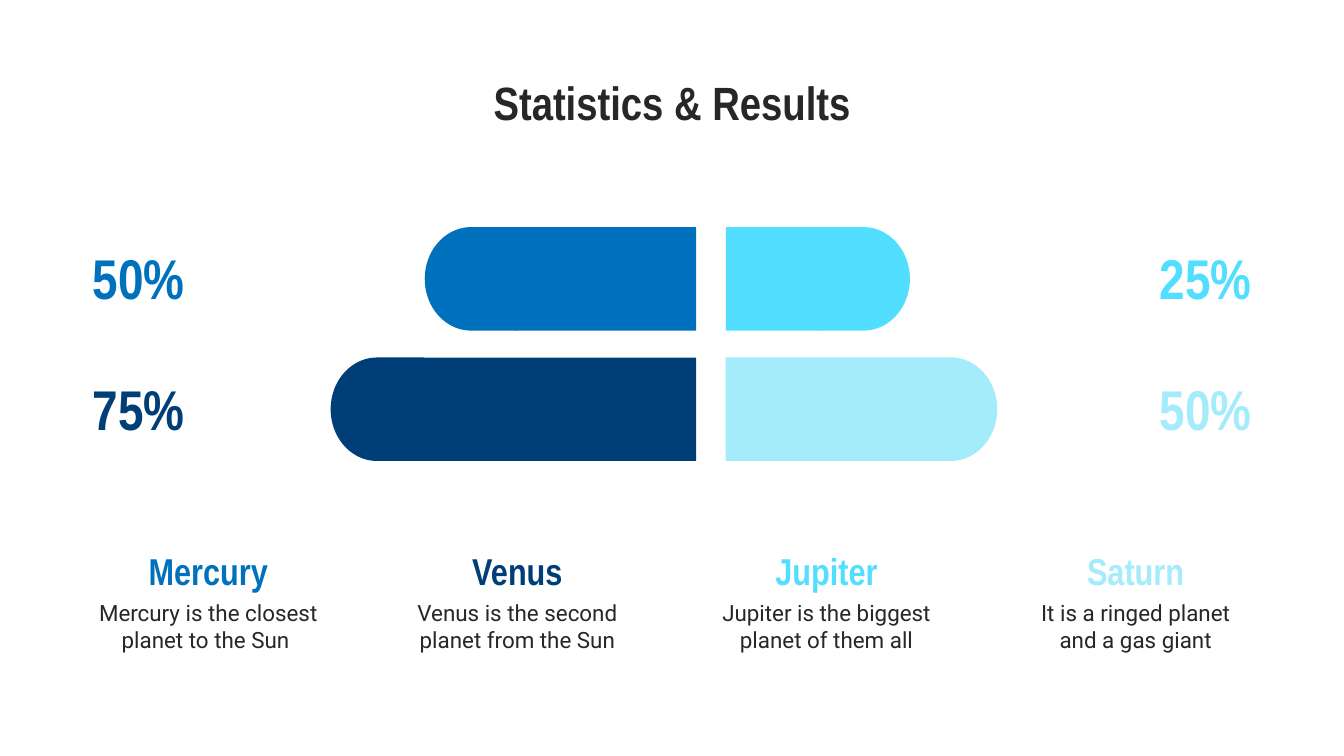
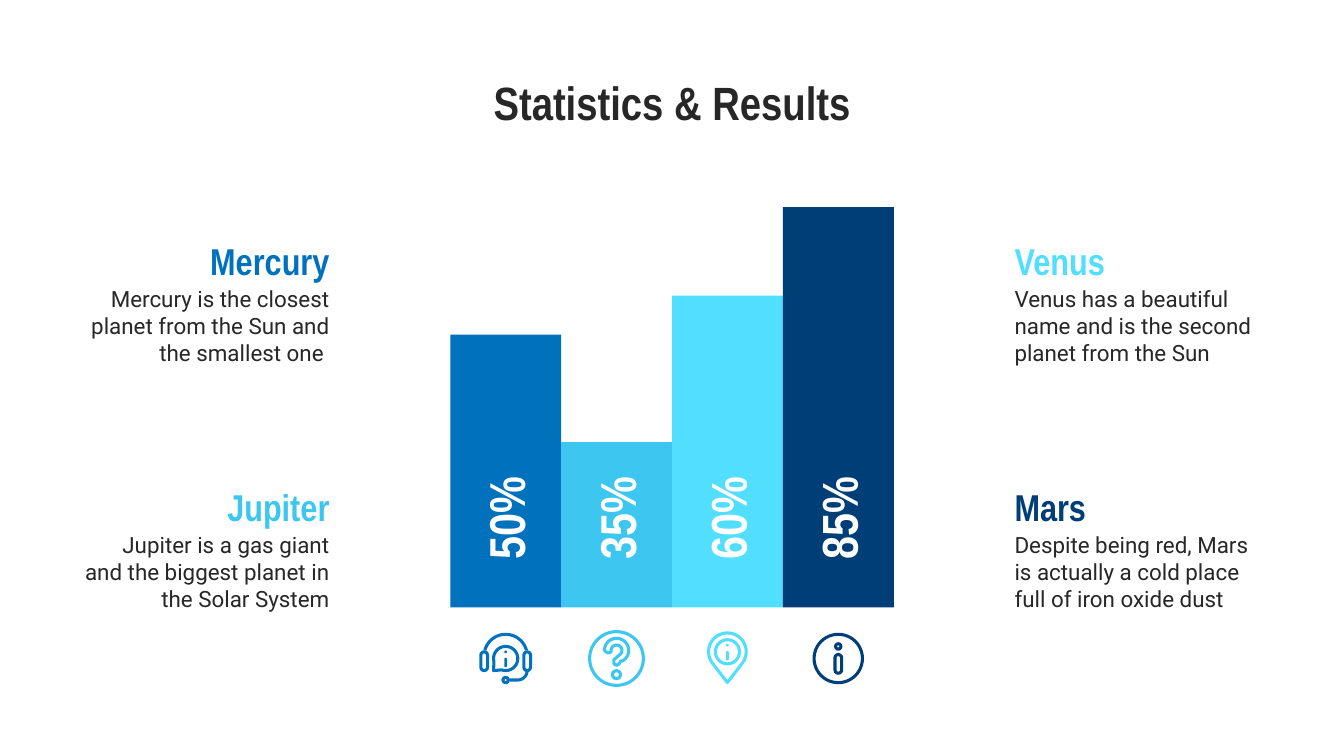
from dataclasses import dataclass
from math import cos, radians, sin

from pptx import Presentation
from pptx import util as u
from pptx.dml.color import RGBColor
from pptx.enum import shapes, text

KIND = shapes.MSO_SHAPE
SIDE = text.PP_ALIGN


@dataclass(frozen=True)
class Theme:
    ink: str = "272727"
    white: str = "FFFFFF"
    blue: str = "0071BC"
    navy: str = "003E78"
    sky: str = "3DC6EF"
    cyan: str = "52DEFF"
    pale: str = "A4EBFC"
    head: str = "Arial Narrow"
    body: str = "Roboto"
    title: int = 25
    stat: int = 30
    label: int = 27
    name: int = 20
    note: int = 12
    stroke: float = 1.65


T = Theme()


def write(slide, box, words, size, color, align=SIDE.LEFT, face=T.head,
          middle=False, turn=0, lead=None):
    shape = slide.shapes.add_textbox(*map(u.Inches, box))
    shape.rotation = turn
    frame = shape.text_frame
    frame.word_wrap = True
    frame.margin_left = frame.margin_right = u.Inches(0.1)
    frame.margin_top = frame.margin_bottom = u.Inches(0.1)
    frame.vertical_anchor = text.MSO_ANCHOR.MIDDLE if middle else text.MSO_ANCHOR.TOP
    para = frame.paragraphs[0]
    para.text = words
    para.alignment = align
    para.line_spacing = lead
    font = para.font
    font.name, font.size, font.bold = face, u.Pt(size), face == T.head
    font.color.rgb = RGBColor.from_string(color)


def paint(shape, color, hollow=False):
    shape.shadow.inherit = False
    tone = RGBColor.from_string(color)
    if hollow:
        shape.fill.background()
        shape.line.color.rgb = tone
        shape.line.width = u.Pt(T.stroke)
    else:
        shape.fill.solid()
        shape.fill.fore_color.rgb = tone
        shape.line.fill.background()


def block(slide, kind, box, color, hollow=False, turn=0):
    shape = slide.shapes.add_shape(kind, *map(u.Inches, box))
    shape.rotation = turn
    paint(shape, color, hollow)
    return shape


def title(slide):
    write(slide, (0.5, 0.45, 9, 0.54), "Statistics & Results", T.title, T.ink, SIDE.CENTER)


def entry(slide, left, top, wide, name, note, color, align, inset=0, drop=0.35, lead=None):
    tall = 0.71 if inset else 0.79
    write(slide, (left, top + drop, wide, tall), note, T.note, T.ink, align, T.body)
    write(slide, (left + inset, top, wide - 2 * inset, 0.52), name, T.name, color, align,
          lead=lead)


def half(slide, top, wide, stat, color, left):
    tall, tip, lap = 0.77, 0.69, 0.01
    if left:
        start, end, turn = 5.18 - wide, 5.18 - wide - tip + lap, 180
        spot, align = 0.59, SIDE.LEFT
    else:
        start, end, turn = 5.4, 5.4 + wide - lap, 0
        spot, align = 7.92, SIDE.RIGHT
    block(slide, KIND.RECTANGLE, (start, top, wide, tall), color, turn=turn)
    block(slide, KIND.FLOWCHART_DELAY, (end, top, tip, tall), color, turn=turn)
    write(slide, (spot, top + 0.25, 1.49, 0.25), stat, T.stat, color, align, middle=True)


def ring(slide, x, y, r, color, hollow=True):
    block(slide, KIND.OVAL, (x - r, y - r, 2 * r, 2 * r), color, hollow)


def pill(slide, x, y, wide, tall, color, hollow=True):
    shape = block(slide, KIND.ROUNDED_RECTANGLE,
                  (x - wide / 2, y - tall / 2, wide, tall), color, hollow)
    shape.adjustments[0] = 0.5


def arc(x, y, r, start, end):
    count = 32
    turns = [radians(start + (end - start) * i / count) for i in range(count + 1)]
    return [(x + r * cos(a), y + r * sin(a)) for a in turns]


def trace(slide, x, y, points, color, close=True):
    spots = [(u.Inches(x + px), u.Inches(y + py)) for px, py in points]
    pen = slide.shapes.build_freeform(*spots[0])
    pen.add_line_segments(spots[1:], close=close)
    paint(pen.convert_to_shape(), color, hollow=True)


def info(slide, x, y, color):
    ring(slide, x, y - 0.06, 0.01, color, hollow=False)
    pill(slide, x, y + 0.02, 0.02, 0.07, color, hollow=False)


def headset(slide, x, y, color):
    trace(slide, x, y, arc(0, -0.02, 0.16, 195, 345), color, close=False)
    for side in (-1, 1):
        pill(slide, x + side * 0.16, y + 0.02, 0.05, 0.14, color)
    boom = arc(0.09, 0.09, 0.07, 0, 90) + [(0.03, 0.16)]
    trace(slide, x, y, boom, color, close=False)
    ring(slide, x, y + 0.16, 0.02, color)
    trace(slide, x, y, arc(0, 0, 0.09, 165, 470) + [(-0.09, 0.09)], color)
    info(slide, x, y + 0.01, color)


def query(slide, x, y, color):
    ring(slide, x, y, 0.2, color)
    stem = [(0.03, 0.02), (0.02, 0.04), (0, 0.05), (-0.02, 0.04), (-0.02, 0.01)]
    hook = [(-0.04, -0.05), (-0.06, -0.04), (-0.08, -0.05)]
    trace(slide, x, y, arc(0, -0.06, 0.09, 180, 420) + stem
          + arc(0, -0.06, 0.04, 420, 180) + hook, color)
    ring(slide, x, y + 0.12, 0.03, color)


def pin(slide, x, y, color):
    trace(slide, x, y, arc(0, -0.05, 0.14, 145, 395) + [(0, 0.18)], color)
    ring(slide, x, y - 0.05, 0.09, color)
    info(slide, x, y - 0.04, color)


def about(slide, x, y, color):
    ring(slide, x, y, 0.18, color)
    ring(slide, x, y - 0.09, 0.02, color)
    pill(slide, x, y + 0.04, 0.05, 0.14, color)


def pairs(slide):
    title(slide)
    for top, wide, stat, color, left in (
        (2.66, 2.04, "75%", T.navy, True),
        (2.66, 1.34, "50%", T.pale, False),
        (1.69, 0.69, "25%", T.cyan, False),
        (1.69, 1.34, "50%", T.blue, True),
    ):
        half(slide, top, wide, stat, color, left)
    planets = (
        ("Mercury", "Mercury is the closest planet to the Sun ", T.blue),
        ("Venus", "Venus is the second planet from the Sun", T.navy),
        ("Jupiter", "Jupiter is the biggest planet of them all", T.cyan),
        ("Saturn", "It is a ringed planet and a gas giant", T.pale),
    )
    for i, (name, note, color) in enumerate(planets):
        entry(slide, 0.59 + 2.3 * i, 3.93, 1.92, name, note, color, SIDE.CENTER,
              inset=0.14, drop=0.43, lead=1.15)


def columns(slide):
    title(slide)
    base, first, step = 4.52, 3.35, 3.3 / 4
    bars = (
        (2.03, "50%", T.blue, headset),
        (1.23, "35%", T.sky, query),
        (2.32, "60%", T.cyan, pin),
        (2.98, "85%", T.navy, about),
    )
    for i, (tall, stat, color, icon) in enumerate(bars):
        left = first + step * i
        mid = left + step / 2
        block(slide, KIND.RECTANGLE, (left, base - tall, step, tall), color, turn=180)
        write(slide, (mid - 0.45, 3.76, 0.89, 0.27), stat, T.label, T.white, SIDE.RIGHT,
              middle=True, turn=270)
        icon(slide, mid, 4.9, color)
    planets = (
        ("Mercury", "Mercury is the closest planet from the Sun and the smallest one ", T.blue),
        ("Venus", "Venus has a beautiful name and is the second planet from the Sun", T.cyan),
        ("Jupiter", "Jupiter is a gas giant and the biggest planet in the Solar System", T.sky),
        ("Mars", "Despite being red, Mars is actually a cold place full of iron oxide dust",
         T.navy),
    )
    for i, (name, note, color) in enumerate(planets):
        row, col = divmod(i, 2)
        align = SIDE.LEFT if col else SIDE.RIGHT
        entry(slide, 0.5 + 6.95 * col, 1.67 + 1.83 * row, 2.05, name, note, color, align)


def main():
    deck = Presentation()
    deck.slide_width, deck.slide_height = u.Inches(10), u.Inches(10 * 9 / 16)
    for build in (pairs, columns):
        build(deck.slides.add_slide(deck.slide_layouts[6]))
    deck.save("out.pptx")


if __name__ == "__main__":
    main()
